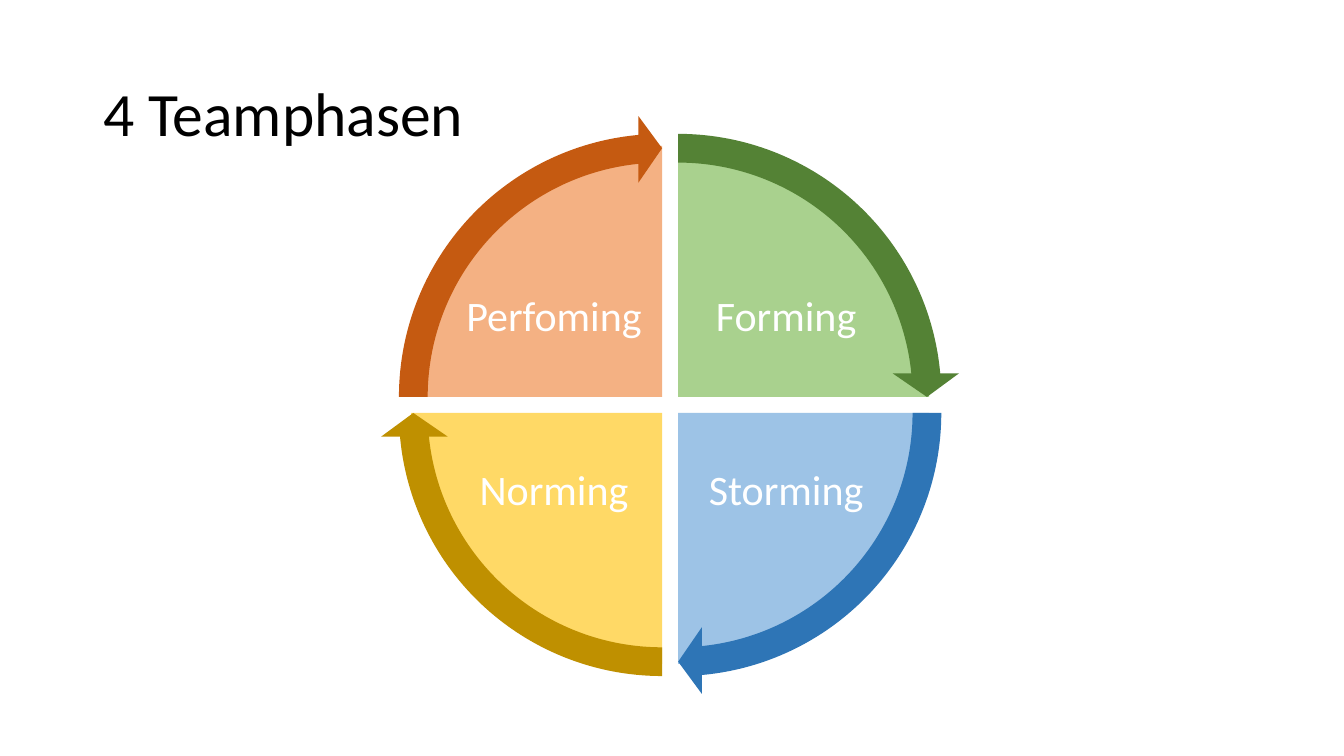
from pptx import Presentation
from pptx.dml.color import RGBColor
from pptx.enum.shapes import MSO_SHAPE
from pptx.enum.text import MSO_ANCHOR, PP_ALIGN
from pptx.util import Inches, Pt

FONT = "Calibri"
COLORS = {
    "title": "000000", "label": "FFFFFF",
    "green": "A9D18E", "green_dark": "548235",
    "blue": "9DC3E6", "blue_dark": "2E75B6",
    "yellow": "FFD966", "yellow_dark": "BF9000",
    "orange": "F4B183", "orange_dark": "C55A11",
}
# Name, colour, horizontal side, vertical side, start angle in adjustment units
PHASES = [
    ("Forming", "green", 1, -1, 162),
    ("Storming", "blue", 1, 1, 0),
    ("Norming", "yellow", -1, 1, 54),
    ("Perfoming", "orange", -1, -1, 108),
]
QUARTER = 54
CENTER_X, CENTER_Y, HALF_GAP = 670, 405, 8
PIE_RADIUS, ARROW_RADIUS = 251, 282
LABEL_DX, LABEL_DY, LABEL_W, LABEL_H = 116, 87, 185, 137


def px(n):
    return round(n * 914400 / 100.8)


def color(name):
    return RGBColor.from_string(COLORS[name])


def add_text(slide, text, x, y, w, h, size, color_name, align=PP_ALIGN.LEFT, inset=10):
    s = slide.shapes.add_textbox(px(x), px(y), px(w), px(h))
    tf = s.text_frame
    tf.word_wrap = True
    tf.vertical_anchor = MSO_ANCHOR.MIDDLE
    tf.margin_left = tf.margin_right = px(inset)
    tf.margin_top = tf.margin_bottom = px(4)
    tf.text = text
    p = tf.paragraphs[0]
    p.alignment = align
    p.line_spacing = 0.9
    font = p.runs[0].font
    font.name, font.size = FONT, Pt(size)
    font.color.rgb = color(color_name)


def add_round(slide, kind, side_x, side_y, radius, fill, adjustments):
    """Add a shape centred on the corner of its quadrant."""
    x = CENTER_X + side_x * HALF_GAP - radius
    y = CENTER_Y + side_y * HALF_GAP - radius
    s = slide.shapes.add_shape(kind, px(x), px(y), px(2 * radius), px(2 * radius))
    for i, value in enumerate(adjustments):
        s.adjustments[i] = value
    s.shadow.inherit = False
    s.fill.solid()
    s.fill.fore_color.rgb = color(fill)
    s.line.fill.background()


def add_quarter(slide, phase):
    name, fill, side_x, side_y, start = phase
    end = (start + QUARTER) % (4 * QUARTER)
    add_round(slide, MSO_SHAPE.PIE, side_x, side_y, PIE_RADIUS, fill, [start, end])
    add_text(slide, name,
             CENTER_X + side_x * LABEL_DX - LABEL_W / 2,
             CENTER_Y + side_y * LABEL_DY - LABEL_H / 2,
             LABEL_W, LABEL_H, 30, "label", PP_ALIGN.CENTER, inset=4)


def add_arrow(slide, phase):
    _, fill, side_x, side_y, start = phase
    # Shaft width, head angle, end angle, start angle, head width
    add_round(slide, MSO_SHAPE.CIRCULAR_ARROW, side_x, side_y, ARROW_RADIUS,
              fill + "_dark", [0.051, 3.275, start + 50.725, start, 0.059])


def main():
    prs = Presentation()
    prs.slide_width, prs.slide_height = Inches(13.33), Inches(7.5)
    slide = prs.slides.add_slide(prs.slide_layouts[6])

    # Title
    add_text(slide, "4 Teamphasen", 93, 44, 1159, 146, 44, "title")

    # Quarters with labels, then the arrows on top
    for phase in PHASES:
        add_quarter(slide, phase)
    for phase in PHASES:
        add_arrow(slide, phase)

    prs.save("out.pptx")


main()
